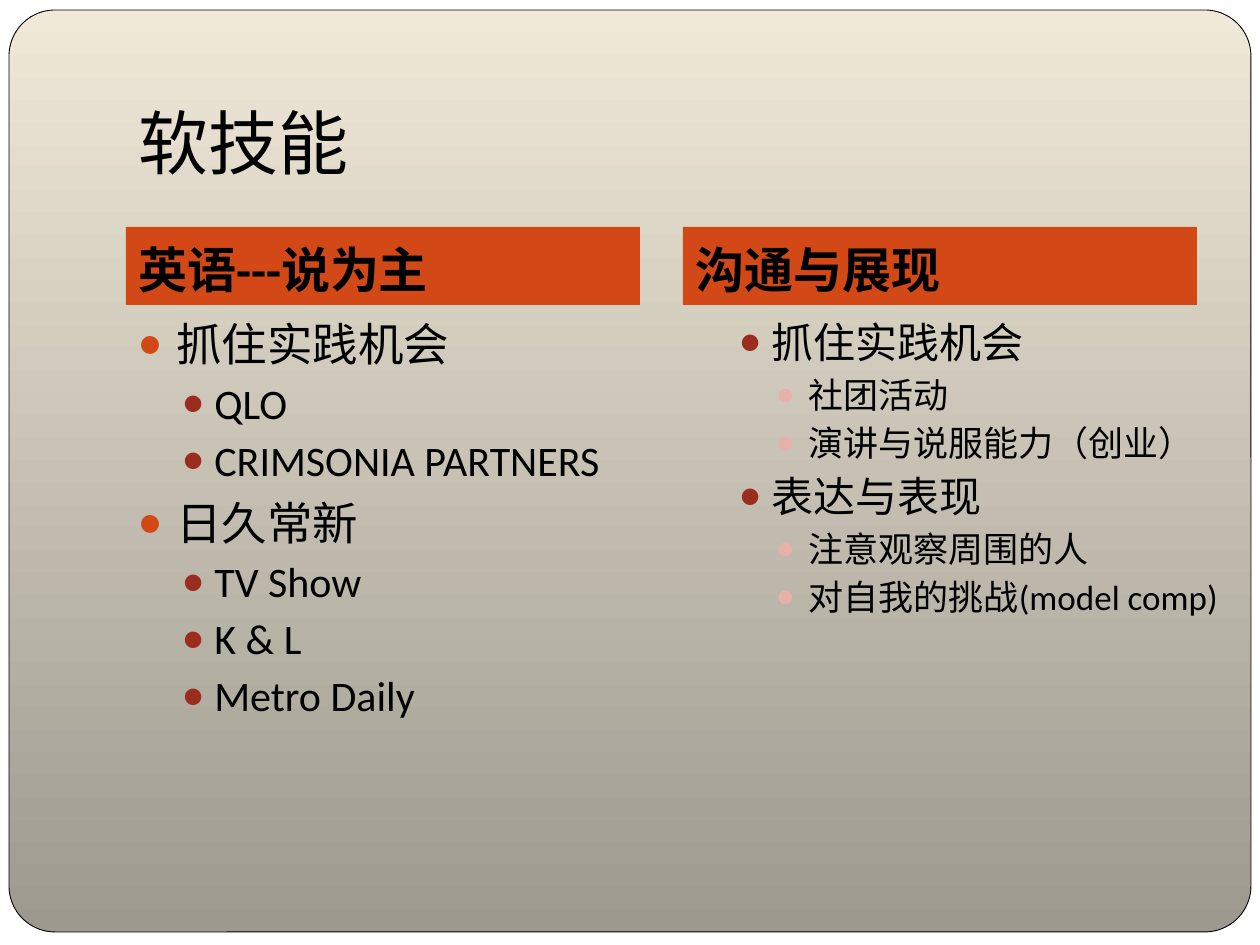
from dataclasses import dataclass

import pptx
import pptx.dml.color
import pptx.enum.shapes
import pptx.enum.text
import pptx.oxml.ns
import pptx.util
from lxml import etree

PX = 914400 / 126
SHAPE = pptx.enum.shapes.MSO_SHAPE
ANCHOR = pptx.enum.text.MSO_ANCHOR


@dataclass(frozen=True)
class Level:
    size: int
    indent: int
    hanging: int
    before: float
    bullet: str


@dataclass(frozen=True)
class Theme:
    font: str = "Calibri"
    text: str = "000000"
    paper: str = "FFFFFF"
    gradient: tuple[str, str] = ("9D998F", "F0E9D8")
    accent: str = "D34817"
    title_size: int = 40
    header_size: int = 28
    header_before: float = 5.8
    levels: tuple[Level, ...] = (
        Level(26, 38, 38, 5.8, "D34817"),
        Level(24, 76, 32, 3.7, "9B2D1F"),
        Level(20, 113, 32, 3.7, "E6B1AB"),
    )


@dataclass(frozen=True)
class Box:
    x: int
    y: int
    w: int
    h: int


@dataclass(frozen=True)
class Column:
    x: int
    body_w: int
    header: str
    items: tuple[tuple[int, str], ...]


THEME = Theme()
COLUMNS = (
    Column(126, 553, "英语---说为主", (
        (0, "抓住实践机会"),
        (1, "QLO"),
        (1, "CRIMSONIA PARTNERS"),
        (0, "日久常新"),
        (1, "TV Show"),
        (1, "K & L"),
        (1, "Metro Daily"),
    )),
    Column(683, 558, "沟通与展现", (
        (1, "抓住实践机会"),
        (2, "社团活动"),
        (2, "演讲与说服能力（创业）"),
        (1, "表达与表现"),
        (2, "注意观察周围的人"),
        (2, "对自我的挑战(model comp)"),
    )),
)


def px(n: int) -> int:
    return round(n * PX)


def rgb(color: str) -> pptx.dml.color.RGBColor:
    return pptx.dml.color.RGBColor.from_string(color)


def apply(target, values: dict) -> None:
    for name, value in values.items():
        setattr(target, name, value)


def place(box: Box) -> tuple[int, ...]:
    return tuple(px(n) for n in (box.x, box.y, box.w, box.h))


def fill_gradient(fill) -> None:
    fill.gradient()
    fill.gradient_angle = 90
    for stop, color in zip(fill.gradient_stops, THEME.gradient):
        stop.color.rgb = rgb(color)


def add_panel(s, box: Box, kind=SHAPE.RECTANGLE):
    sp = s.shapes.add_shape(kind, *place(box))
    sp.shadow.inherit = False
    sp.line.fill.background()
    return sp


def add_solid(s, box: Box, color: str):
    sp = add_panel(s, box)
    sp.fill.solid()
    sp.fill.fore_color.rgb = rgb(color)
    return sp


def write(p, text: str, size: int, bold: bool = False, before: float = 0) -> None:
    apply(p, {"alignment": pptx.enum.text.PP_ALIGN.LEFT,
              "space_before": pptx.util.Pt(before)})
    r = p.add_run()
    r.text = text
    apply(r.font, {"name": THEME.font, "size": pptx.util.Pt(size), "bold": bold})
    r.font.color.rgb = rgb(THEME.text)


def add_bullet(p, level: Level) -> None:
    pPr = p._p.get_or_add_pPr()
    pPr.set("marL", str(px(level.indent)))
    pPr.set("indent", str(-px(level.hanging)))
    qn = pptx.oxml.ns.qn
    clr = etree.SubElement(pPr, qn("a:buClr"))
    etree.SubElement(clr, qn("a:srgbClr"), val=level.bullet)
    etree.SubElement(pPr, qn("a:buSzPct"), val="85000")
    etree.SubElement(pPr, qn("a:buFont"), typeface=THEME.font)
    etree.SubElement(pPr, qn("a:buChar"), char="●")


def add_title(s, box: Box, text: str) -> None:
    tf = s.shapes.add_textbox(*place(box)).text_frame
    apply(tf, {"word_wrap": True, "vertical_anchor": ANCHOR.BOTTOM,
               "margin_bottom": px(13)})
    write(tf.paragraphs[0], text, THEME.title_size)


def add_column(s, column: Column) -> None:
    tf = add_solid(s, Box(column.x, 227, 514, 78), THEME.accent).text_frame
    apply(tf, {"word_wrap": True, "vertical_anchor": ANCHOR.BOTTOM})
    write(tf.paragraphs[0], column.header, THEME.header_size, True, THEME.header_before)

    tf = s.shapes.add_textbox(*place(Box(column.x, 310, column.body_w, 536))).text_frame
    tf.word_wrap = True
    for i, (depth, text) in enumerate(column.items):
        p = tf.add_paragraph() if i else tf.paragraphs[0]
        level = THEME.levels[depth]
        p.level = depth
        write(p, text, level.size, before=level.before)
        add_bullet(p, level)


def main() -> None:
    prs = pptx.Presentation()
    apply(prs, {"slide_width": px(1260), "slide_height": px(945)})
    s = prs.slides.add_slide(prs.slide_layouts[6])
    fill_gradient(s.background.fill)
    add_solid(s, Box(0, 0, 1260, 945), THEME.paper)

    sp = add_panel(s, Box(9, 10, 1242, 922), SHAPE.ROUNDED_RECTANGLE)
    sp.adjustments[0] = 0.05
    fill_gradient(sp.fill)
    sp.line.color.rgb = rgb(THEME.text)
    sp.line.width = pptx.util.Pt(0.5)

    add_title(s, Box(126, 38, 1071, 158), "软技能")
    for column in COLUMNS:
        add_column(s, column)
    prs.save("out.pptx")


if __name__ == "__main__":
    main()
